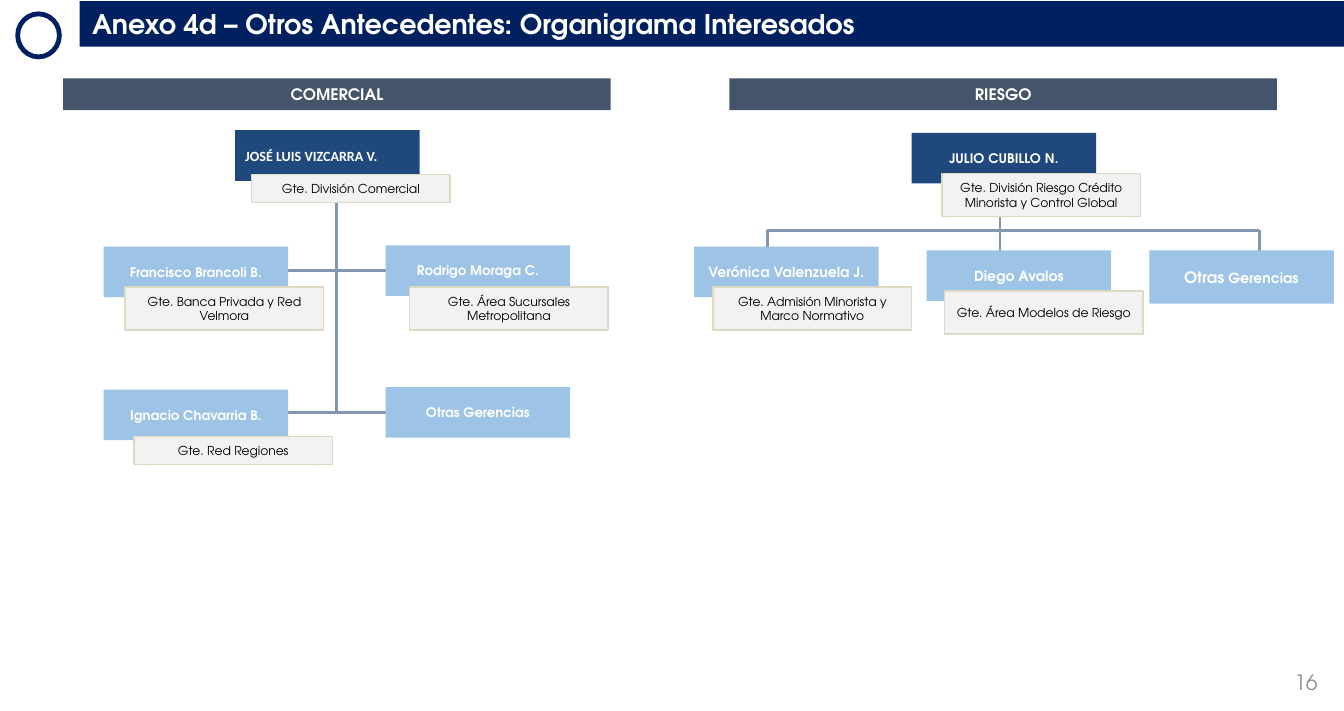
from dataclasses import dataclass

from lxml import etree
from pptx import Presentation
from pptx.dml.color import RGBColor
from pptx.enum.shapes import MSO_CONNECTOR, MSO_SHAPE
from pptx.enum.text import MSO_ANCHOR, PP_ALIGN
from pptx.oxml.ns import qn
from pptx.util import Inches, Pt


@dataclass(frozen=True)
class Theme:
    font: str = "TeX Gyre Adventor"
    head_font: str = "Calibri"
    navy: str = "002060"
    slate: str = "44546A"
    head: str = "1F497D"
    manager: str = "9DC3E6"
    role: str = "F2F2F2"
    role_edge: str = "DDD9C3"
    branch: str = "8497B0"
    white: str = "FFFFFF"
    black: str = "000000"
    grey: str = "8C8C8C"
    title_size: float = 15.4
    number_size: float = 12
    area_size: float = 9
    name_size: float = 8
    small_name_size: float = 7.5
    role_size: float = 7


THEME = Theme()
CARD_WIDTH, CARD_HEIGHT = 1.46, 0.4
ROLE_WIDTH, ROLE_ONE_LINE, ROLE_TWO_LINES = 1.57, 0.22, 0.34
AREA_TOP, AREA_WIDTH, AREA_HEIGHT = 0.62, 4.33, 0.25

AREAS = [("COMERCIAL", 0.5), ("RIESGO", 5.77)]

# Start x, start y, end x, end y
BRANCHES = [
    (2.66, 1.37, 2.66, 3.26),
    (1.39, 3.26, 3.99, 3.26),
    (1.35, 2.14, 3.95, 2.14),
    (7.91, 1.3, 7.91, 2.04),
    (9.96, 1.82, 9.96, 2.04),
    (6.07, 1.82, 9.96, 1.82),
    (6.07, 1.82, 6.07, 2.01),
]

# Name, left, top, type size
MANAGERS = [
    ("Francisco Brancoli B.", 0.82, 1.95, THEME.small_name_size),
    ("Rodrigo Moraga C.", 3.05, 1.94, THEME.small_name_size),
    ("Ignacio Chavarria B.", 0.82, 3.08, THEME.small_name_size),
    ("Otras Gerencias", 3.05, 3.06, THEME.small_name_size),
    ("Verónica Valenzuela J.", 5.49, 1.95, THEME.name_size),
    ("Diego Avalos", 7.33, 1.98, THEME.name_size),
]

# Role, left, top, height
ROLES = [
    ("Gte. División Comercial", 1.99, 1.38, ROLE_ONE_LINE),
    ("Gte. Banca Privada y Red Velmora", 0.99, 2.27, ROLE_TWO_LINES),
    ("Gte. Área Sucursales Metropolitana", 3.24, 2.27, ROLE_TWO_LINES),
    ("Gte. Red Regiones", 1.06, 3.45, ROLE_ONE_LINE),
    ("Gte. División Riesgo Crédito Minorista y Control Global",
     7.45, 1.37, ROLE_TWO_LINES),
    ("Gte. Admisión Minorista y Marco Normativo", 5.64, 2.27, ROLE_TWO_LINES),
    ("Gte. Área Modelos de Riesgo", 7.47, 2.3, ROLE_TWO_LINES),
]


def color(value):
    return RGBColor.from_string(value)


def write(shape, spans, ink, bold=False, font=THEME.font,
          align=PP_ALIGN.CENTER, side_inset=0.08):
    """Fill a shape with one paragraph made of (text, size) spans."""
    frame = shape.text_frame
    frame.word_wrap = True
    frame.vertical_anchor = MSO_ANCHOR.MIDDLE
    frame.margin_left = frame.margin_right = Inches(side_inset)
    frame.margin_top = frame.margin_bottom = Inches(0.03)
    para = frame.paragraphs[0]
    para.alignment = align
    for text, size in spans:
        span = para.add_run()
        span.text = text
        span.font.name = font
        span.font.size = Pt(size)
        span.font.bold = bold
        span.font.color.rgb = color(ink)


def add_block(page, left, top, width, height, fill=None, edge=None,
              edge_width=0.75, kind=MSO_SHAPE.RECTANGLE):
    block = page.shapes.add_shape(
        kind, Inches(left), Inches(top), Inches(width), Inches(height))
    block.shadow.inherit = False
    if fill:
        block.fill.solid()
        block.fill.fore_color.rgb = color(fill)
    else:
        block.fill.background()
    if edge:
        block.line.color.rgb = color(edge)
        block.line.width = Pt(edge_width)
    else:
        block.line.fill.background()
    return block


def add_branch(page, *ends):
    branch = page.shapes.add_connector(
        MSO_CONNECTOR.STRAIGHT, *(Inches(end) for end in ends))
    branch.line.color.rgb = color(THEME.branch)
    branch.line.width = Pt(1.5)
    etree.SubElement(branch._element.spPr, qn("a:effectLst"))


def add_title(page, text):
    add_block(page, 0.14, 0.11, 0.33, 0.34, edge=THEME.navy,
              edge_width=2.75, kind=MSO_SHAPE.OVAL)
    bar = add_block(page, 0.63, 0.01, 10, 0.36, THEME.navy)
    write(bar, [(text, THEME.title_size)], THEME.white, bold=True,
          align=PP_ALIGN.LEFT, side_inset=0.1)


def add_area(page, text, left):
    band = add_block(page, left, AREA_TOP, AREA_WIDTH, AREA_HEIGHT, THEME.slate)
    write(band, [(text, THEME.area_size)], THEME.white, bold=True)


def add_card(page, spans, left, top, fill=THEME.manager, height=CARD_HEIGHT,
             **style):
    card = add_block(page, left, top, CARD_WIDTH, height, fill)
    write(card, spans, THEME.white, bold=True, **style)


def add_role(page, text, left, top, height):
    tag = add_block(page, left, top, ROLE_WIDTH, height,
                    THEME.role, THEME.role_edge)
    write(tag, [(text, THEME.role_size)], THEME.black)


def add_page_number(page, number):
    box = page.shapes.add_textbox(
        Inches(9.95), Inches(5.24), Inches(0.57), Inches(0.3))
    write(box, [(number, THEME.number_size)], THEME.grey,
          align=PP_ALIGN.RIGHT, side_inset=0.1)


def main():
    deck = Presentation()
    deck.slide_width, deck.slide_height = Inches(10.63), Inches(5.62)
    page = deck.slides.add_slide(deck.slide_layouts[6])

    add_title(page, "Anexo 4d – Otros Antecedentes: Organigrama Interesados")
    for area in AREAS:
        add_area(page, *area)
    for branch in BRANCHES:
        add_branch(page, *branch)

    add_card(page, [("JOSÉ LUIS VIZCARRA V.", THEME.name_size)], 1.86, 1.03,
             THEME.head, font=THEME.head_font, align=PP_ALIGN.LEFT)
    add_card(page, [("JULIO CUBILLO N.", THEME.small_name_size)], 7.21, 1.05,
             THEME.head)
    for name, left, top, size in MANAGERS:
        add_card(page, [(name, size)], left, top)
    add_card(page, [("Otras", THEME.area_size), (" Gerencias", THEME.name_size)],
             9.09, 1.98, height=0.42)
    for role in ROLES:
        add_role(page, *role)

    add_page_number(page, "16")
    deck.save("out.pptx")


if __name__ == "__main__":
    main()
